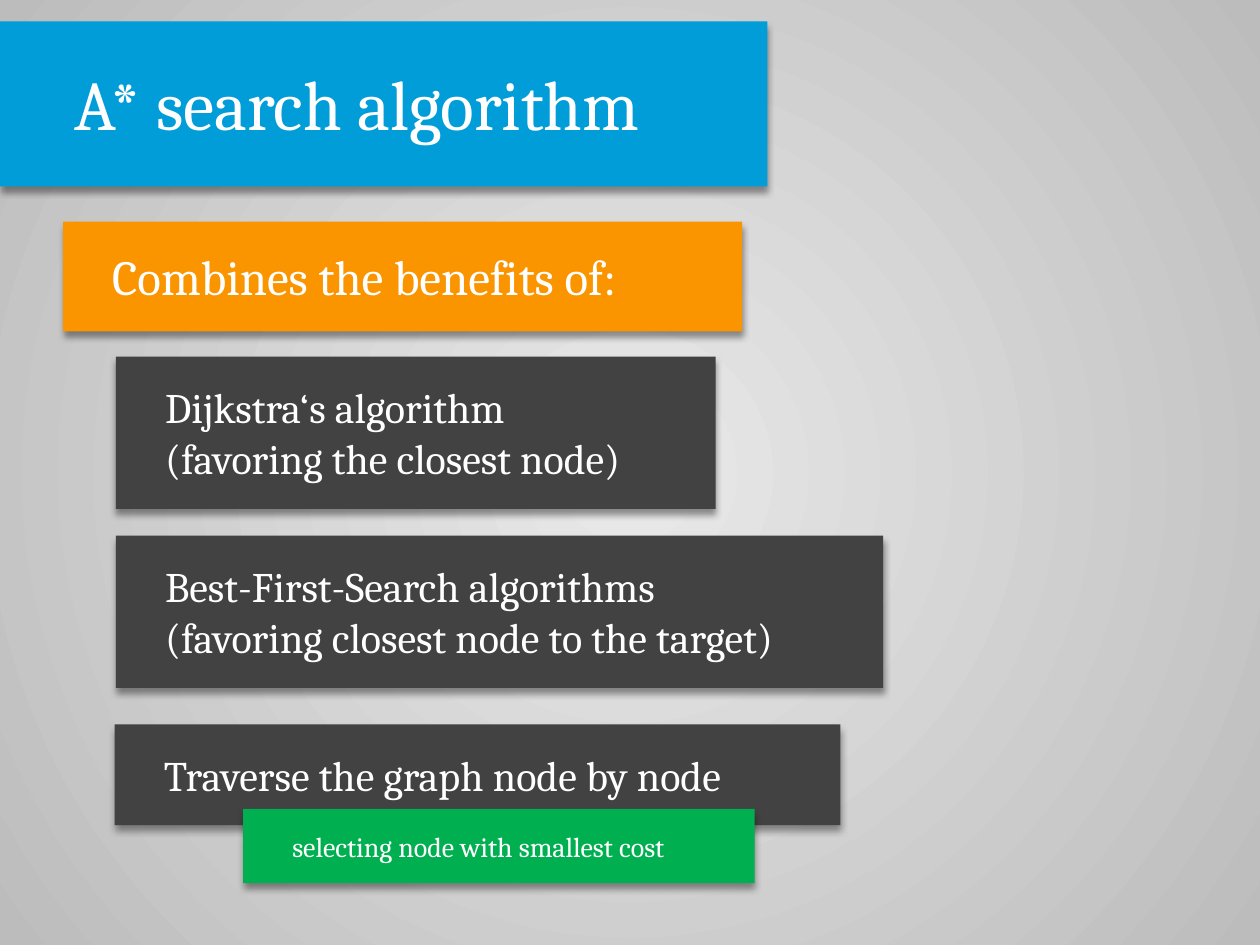
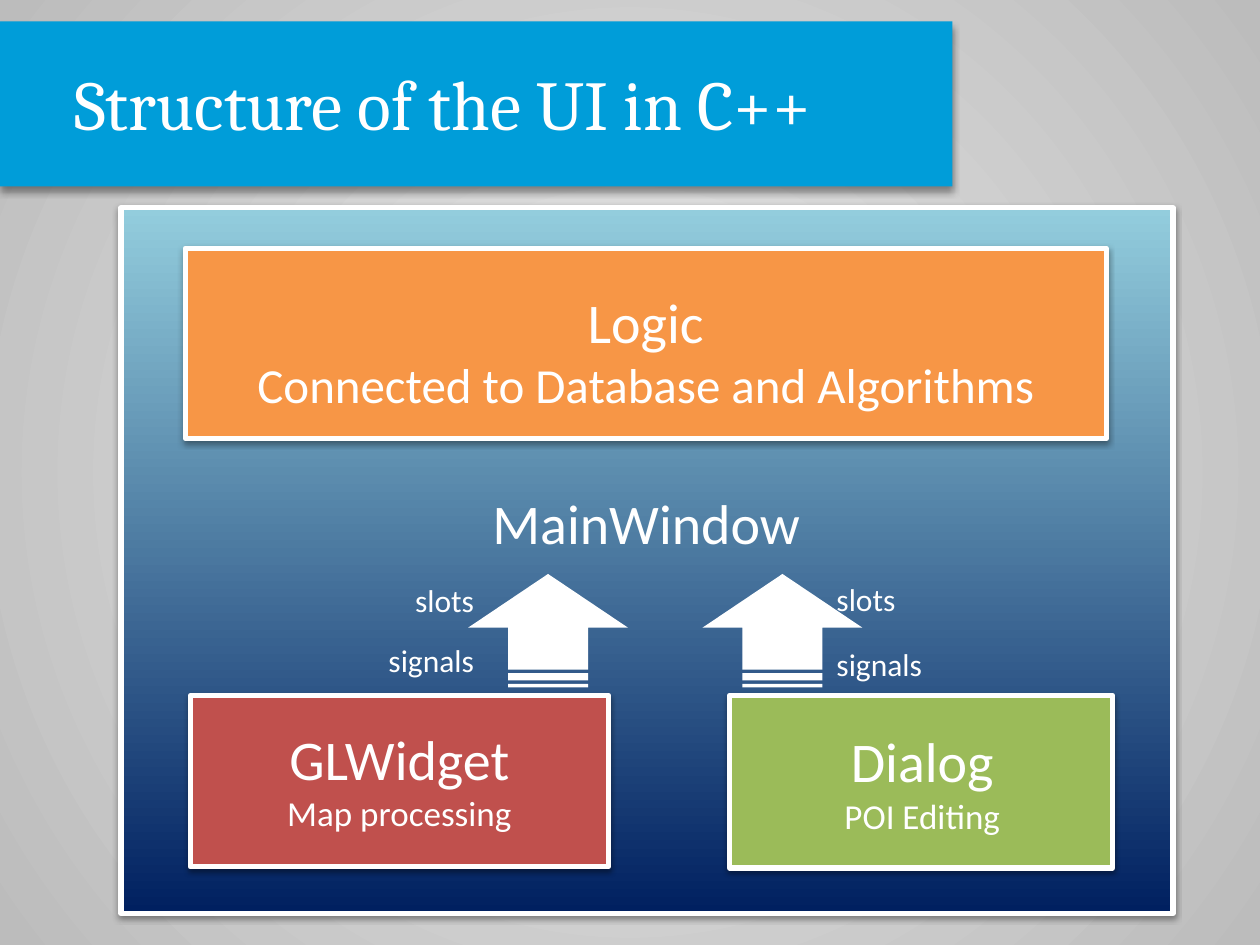
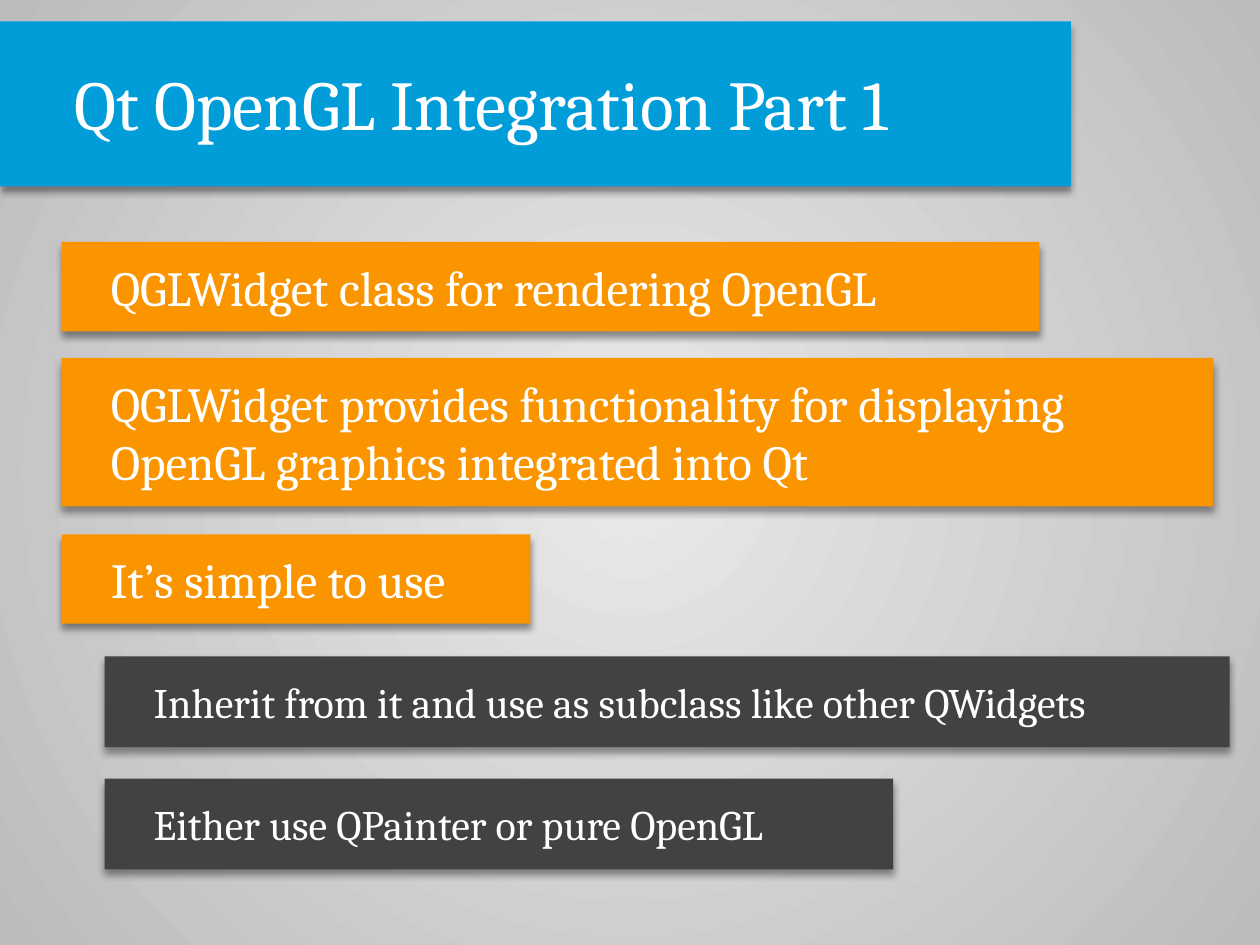
from dataclasses import dataclass

from lxml import etree
from pptx import Presentation
from pptx.dml.color import RGBColor
from pptx.enum import shapes, text
from pptx.oxml.ns import qn
from pptx.util import Inches, Pt

BLUE = RGBColor(0x00, 0x9D, 0xD9)
ORANGE = RGBColor(0xFA, 0x95, 0x00)
DARK = RGBColor(0x42, 0x42, 0x42)
GREEN = RGBColor(0x00, 0xB0, 0x50)
WHITE = RGBColor(0xFF, 0xFF, 0xFF)
BLACK = RGBColor(0x00, 0x00, 0x00)
BG_CENTER = RGBColor(0xE9, 0xE9, 0xE9)
BG_EDGE = RGBColor(0xBC, 0xBC, 0xBC)
WINDOW_TOP = RGBColor(0x93, 0xCD, 0xDD)
WINDOW_BOTTOM = RGBColor(0x00, 0x20, 0x60)
LOGIC = RGBColor(0xF7, 0x96, 0x46)
WIDGET = RGBColor(0xC0, 0x50, 0x4D)
DIALOG = RGBColor(0x9B, 0xBB, 0x59)

HEADING_FONT = "Cambria"
DIAGRAM_FONT = "Calibri"
LEFT, CENTER, RIGHT = text.PP_ALIGN.LEFT, text.PP_ALIGN.CENTER, text.PP_ALIGN.RIGHT


@dataclass(frozen=True)
class Shadow:
    opacity: int
    blur: float
    distance: float


@dataclass(frozen=True)
class BarStyle:
    fill: RGBColor
    size: int
    inset_x: float
    inset_y: float


@dataclass(frozen=True)
class Bar:
    style: BarStyle
    left: float
    top: float
    width: float
    height: float
    words: str


@dataclass(frozen=True)
class Panel:
    left: float
    top: float
    width: float
    height: float
    fill: RGBColor | None = None  # None gives the window gradient


@dataclass(frozen=True)
class Label:
    left: float
    top: float
    width: float
    height: float
    lines: tuple[tuple[str, int], ...]
    align: text.PP_ALIGN = CENTER


BAR_SHADOW = Shadow(40, 4, 3)
PANEL_SHADOW = Shadow(38, 3.1, 1.6)

TITLE = BarStyle(BLUE, 40, 0.59, 0.31)
LEAD = BarStyle(ORANGE, 28, 0.39, 0.2)
DETAIL = BarStyle(DARK, 24, 0.39, 0.2)
NOTE = BarStyle(GREEN, 16, 0.39, 0.16)
POINT = BarStyle(ORANGE, 28, 0.39, 0.12)
SUBPOINT = BarStyle(DARK, 24, 0.39, 0.16)

SEARCH_BARS = [
    Bar(LEAD, 0.5, 1.76, 5.39, 0.87, "Combines the benefits of:"),
    Bar(DETAIL, 0.92, 2.83, 4.76, 1.21,
        "Dijkstra‘s algorithm \n(favoring the closest node)"),
    Bar(DETAIL, 0.92, 4.25, 6.09, 1.21,
        "Best-First-Search algorithms \n(favoring closest node to the target)"),
    Bar(DETAIL, 0.91, 5.75, 5.76, 0.8, "Traverse the graph node by node"),
    Bar(NOTE, 1.93, 6.42, 4.06, 0.59, "selecting node with smallest cost"),
]

OPENGL_BARS = [
    Bar(POINT, 0.49, 1.92, 7.76, 0.71, "QGLWidget class for rendering OpenGL"),
    Bar(POINT, 0.49, 2.84, 9.14, 1.18,
        "QGLWidget provides functionality for displaying \n"
        "OpenGL graphics integrated into Qt"),
    Bar(POINT, 0.49, 4.24, 3.72, 0.71, "It’s simple to use"),
    Bar(SUBPOINT, 0.83, 5.21, 8.93, 0.72,
        "Inherit from it and use as subclass like other QWidgets"),
    Bar(SUBPOINT, 0.83, 6.18, 6.26, 0.72, "Either use QPainter or pure OpenGL"),
]

UI_PANELS = [
    Panel(0.96, 1.65, 8.35, 5.6),
    Panel(1.47, 1.97, 7.31, 1.51, LOGIC),
    Panel(1.51, 5.52, 3.32, 1.36, WIDGET),
    Panel(5.79, 5.52, 3.04, 1.37, DIALOG),
]

ARROW_LEFTS = (3.9, 5.76)

UI_LABELS = [
    Label(3.02, 3.83, 4.22, 0.61, (("MainWindow", 32),)),
    Label(1.47, 2.23, 7.31, 1.07,
          (("Logic", 32), ("Connected to Database and Algorithms", 28))),
    Label(1.06, 5.7, 4.22, 0.94, (("GLWidget", 32), ("Map processing", 20))),
    Label(5.21, 5.72, 4.22, 0.94, (("Dialog", 32), ("POI Editing", 20))),
    Label(2.47, 5.04, 1.39, 0.39, (("signals", 18),), RIGHT),
    Label(2.47, 4.56, 1.39, 0.39, (("slots", 18),), RIGHT),
    Label(6.54, 5.07, 1.39, 0.39, (("signals", 18),), LEFT),
    Label(6.54, 4.55, 1.39, 0.39, (("slots", 18),), LEFT),
]


def set_gradient(fill, first: RGBColor, last: RGBColor) -> None:
    """Fill from first to last, running downwards."""
    fill.gradient()
    fill.gradient_angle = 270
    for stop, color, position in zip(fill.gradient_stops, (first, last), (0, 1)):
        stop.color.rgb = color
        stop.position = position


def add_slide(prs):
    """Add a blank slide with the shared radial background."""
    s = prs.slides.add_slide(prs.slide_layouts[6])
    set_gradient(s.background.fill, BG_CENTER, BG_EDGE)
    grad = s._element.find(".//" + qn("a:gradFill"))
    linear = grad.find(qn("a:lin"))
    circle = etree.Element(qn("a:path"), path="circle")
    etree.SubElement(circle, qn("a:fillToRect"),
                     {side: "50000" for side in "ltrb"})
    grad.replace(linear, circle)
    return s


def add_shape(s, kind, left: float, top: float, width: float, height: float,
              fill: RGBColor | None, shadow: Shadow | None = None):
    sp = s.shapes.add_shape(kind, Inches(left), Inches(top),
                            Inches(width), Inches(height))
    if fill is None:
        set_gradient(sp.fill, WINDOW_TOP, WINDOW_BOTTOM)
    else:
        sp.fill.solid()
        sp.fill.fore_color.rgb = fill
    sp.line.fill.background()
    sp.shadow.inherit = False
    if shadow:
        effects = sp._element.spPr.find(qn("a:effectLst"))
        outer = etree.SubElement(
            effects, qn("a:outerShdw"), blurRad=str(Pt(shadow.blur)),
            dist=str(Pt(shadow.distance)), dir="5400000", rotWithShape="0")
        color = etree.SubElement(outer, qn("a:srgbClr"), val=str(BLACK))
        etree.SubElement(color, qn("a:alpha"), val=str(shadow.opacity * 1000))
    return sp


def write(p, words: str, font: str, size: int, align: text.PP_ALIGN) -> None:
    p.text = words
    p.alignment = align
    for r in p.runs:
        for name, value in {"name": font, "size": Pt(size)}.items():
            setattr(r.font, name, value)
        r.font.color.rgb = WHITE


def add_bar(s, bar: Bar) -> None:
    style = bar.style
    sp = add_shape(s, shapes.MSO_SHAPE.RECTANGLE, bar.left, bar.top,
                   bar.width, bar.height, style.fill, BAR_SHADOW)
    tf = sp.text_frame
    frame_format = {
        "margin_left": Inches(style.inset_x), "margin_right": Inches(style.inset_x),
        "margin_top": Inches(style.inset_y), "margin_bottom": Inches(style.inset_y),
        "word_wrap": True, "vertical_anchor": text.MSO_ANCHOR.TOP,
    }
    for name, value in frame_format.items():
        setattr(tf, name, value)
    write(tf.paragraphs[0], bar.words, HEADING_FONT, style.size, LEFT)


def add_title(s, words: str, width: float) -> None:
    add_bar(s, Bar(TITLE, 0, 0.17, width, 1.31, words))


def add_panel(s, panel: Panel) -> None:
    sp = add_shape(s, shapes.MSO_SHAPE.RECTANGLE, panel.left, panel.top,
                   panel.width, panel.height, panel.fill, PANEL_SHADOW)
    sp.line.color.rgb = WHITE
    sp.line.width = Pt(3)


def add_up_arrow(s, left: float) -> None:
    sp = add_shape(s, shapes.MSO_SHAPE.STRIPED_RIGHT_ARROW,
                   left, 4.37, 0.9, 1.27, WHITE)
    sp.rotation = 270
    sp.adjustments[0] = 0.5
    sp.adjustments[1] = 0.474


def add_label(s, label: Label) -> None:
    tf = s.shapes.add_textbox(Inches(label.left), Inches(label.top),
                              Inches(label.width), Inches(label.height)).text_frame
    tf.word_wrap = True
    for i, (words, size) in enumerate(label.lines):
        p = tf.add_paragraph() if i else tf.paragraphs[0]
        write(p, words, DIAGRAM_FONT, size, label.align)


def add_bar_slide(prs, title: str, title_width: float, bars: list[Bar]) -> None:
    s = add_slide(prs)
    add_title(s, title, title_width)
    for bar in bars:
        add_bar(s, bar)


def add_ui_slide(prs) -> None:
    s = add_slide(prs)
    add_title(s, "Structure of the UI in C++", 7.56)
    for panel in UI_PANELS:
        add_panel(s, panel)
    for left in ARROW_LEFTS:
        add_up_arrow(s, left)
    for label in UI_LABELS:
        add_label(s, label)


def main() -> None:
    prs = Presentation()
    prs.slide_width, prs.slide_height = Inches(10), Inches(7.5)
    add_bar_slide(prs, "A* search algorithm", 6.09, SEARCH_BARS)
    add_ui_slide(prs)
    add_bar_slide(prs, "Qt OpenGL Integration Part 1", 8.5, OPENGL_BARS)
    prs.save("out.pptx")


if __name__ == "__main__":
    main()
